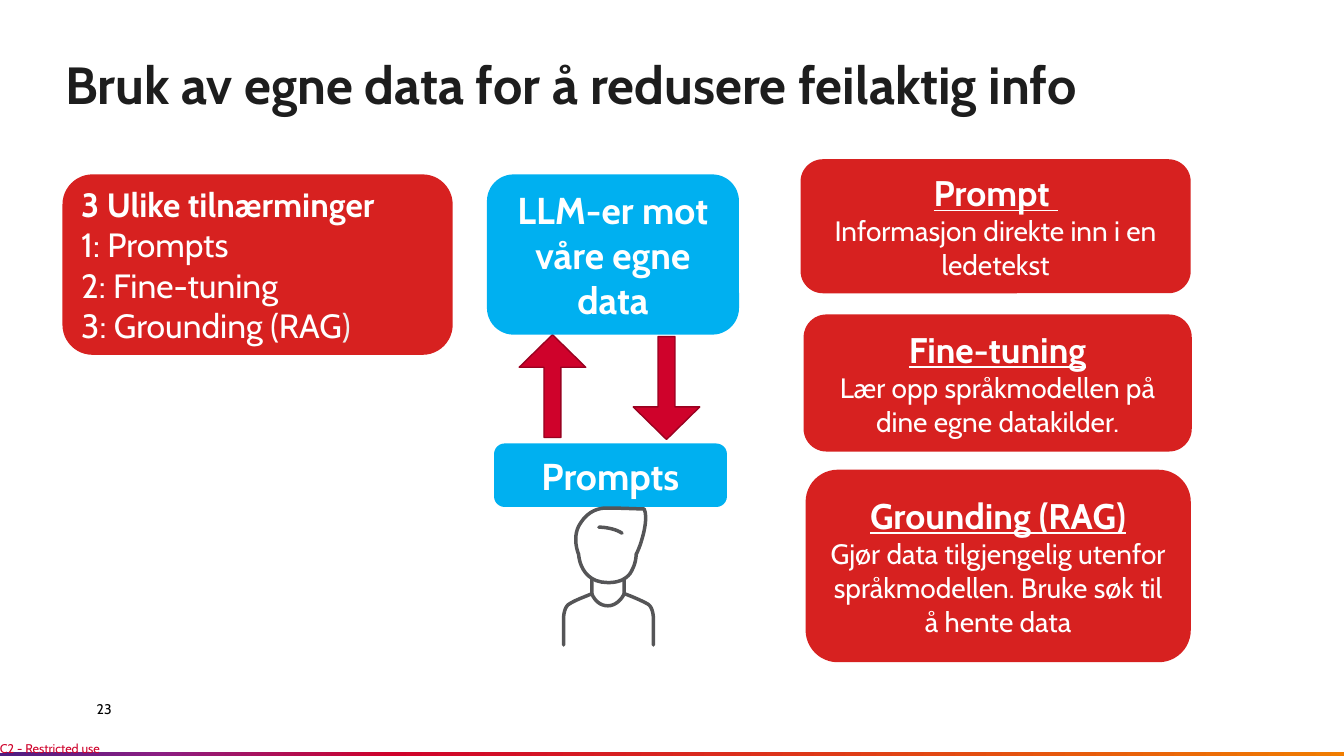
from dataclasses import dataclass
from typing import Optional

from lxml.etree import SubElement
from pptx import Presentation
from pptx.dml.color import RGBColor
from pptx.enum.shapes import MSO_SHAPE as Preset
from pptx.enum.text import MSO_ANCHOR as Anchor, PP_ALIGN as Align
from pptx.oxml.ns import qn
from pptx.util import Inches, Pt

RED = RGBColor(0xD7, 0x21, 0x20)
CRIMSON = RGBColor(0xCF, 0x02, 0x2B)
DARK_CRIMSON = RGBColor(0x99, 0x01, 0x20)
BLUE = RGBColor(0x00, 0xB0, 0xF0)
PURPLE = RGBColor(0x4D, 0x1D, 0x82)
MAGENTA = RGBColor(0x8B, 0x1D, 0x82)
ORANGE = RGBColor(0xF0, 0x7D, 0x00)
WHITE = RGBColor(0xFF, 0xFF, 0xFF)
PALE = RGBColor(0xEE, 0xEE, 0xED)
GREY = RGBColor(0x55, 0x55, 0x57)
INK = RGBColor(0x1D, 0x1D, 0x1D)
BLACK = RGBColor(0x00, 0x00, 0x00)
FONT = "Cabin"

# The page is a grid of quarter-inch cells, 30 rows high
CELL = Inches(0.25)
STROKE_UNIT = CELL / 25
CURVE_STEPS = 12


@dataclass(frozen=True)
class Area:
    column: float
    row: float
    columns: float
    rows: float

    def emu(self) -> tuple[int, ...]:
        return tuple(round(n * CELL) for n in
                     (self.column, self.row, self.columns, self.rows))


@dataclass(frozen=True)
class Line:
    text: str
    size: float
    bold: bool = False
    underline: bool = False
    color: RGBColor = WHITE
    pale_tail: str = ""


@dataclass(frozen=True)
class Card:
    area: Area
    fill: RGBColor
    lines: tuple[Line, ...]
    align: Align = Align.CENTER


@dataclass(frozen=True)
class Label:
    area: Area
    line: Line
    anchor: Anchor
    inset: bool = False
    spacing: float = 1.0


@dataclass(frozen=True)
class Arrow:
    area: Area
    rotation: int


@dataclass(frozen=True)
class Stroke:
    """Each segment holds one point (straight) or three (cubic curve)."""
    start: tuple[int, int]
    segments: tuple[tuple[tuple[int, int], ...], ...]


def topic(area: Area, heading: str, body: str) -> Card:
    return Card(area, RED, (Line(heading, 25.4, True, True), Line(body, 20)))


TITLE = Label(Area(2.2, 1.04, 48.92, 3.76),
              Line("Bruk av egne data for å redusere feilaktig info", 37.3, True, color=INK),
              Anchor.BOTTOM, inset=True, spacing=0.9)
FOOTERS = (
    Label(Area(3.84, 27.8, 6.12, 0.68), Line("23", 10, color=BLACK), Anchor.MIDDLE),
    Label(Area(0, 29.4, 4.52, 0.6), Line("C2 - Restricted use", 9, color=CRIMSON), Anchor.TOP),
)
BAR = Area(0, 29.88, 53.4, 0.2)
BAR_STOPS = ((0, PURPLE), (12, MAGENTA), (29, CRIMSON), (100, ORANGE))

CARDS = (
    Card(Area(19.6, 17.6, 9.24, 2.52), BLUE, (Line("Prompts", 26.7, True),)),
    Card(Area(19.32, 6.92, 10, 6.36), BLUE, (Line("LLM-er mot våre egne data", 26.7, True),)),
    Card(Area(2.48, 6.92, 15.48, 7.16), RED,
         (Line("3 Ulike tilnærminger", 24, True), Line("1: Prompts", 24),
          Line("2: Fine-tuning", 24), Line("3: Grounding (RAG", 24, pale_tail=")")),
         Align.LEFT),
    topic(Area(31.76, 6.32, 15.48, 5.32), "Prompt ", "Informasjon direkte inn i en ledetekst"),
    topic(Area(31.88, 12.48, 15.4, 5.44), "Fine-tuning",
          "Lær opp språkmodellen på dine egne datakilder."),
    topic(Area(31.96, 18.64, 15.28, 7.64), "Grounding (RAG)",
          "Gjør data tilgjengelig utenfor språkmodellen. Bruke søk til å hente data"),
)
ARROWS = (Arrow(Area(20.6, 13.28, 2.64, 4.08), 0),
          Arrow(Area(25.12, 13.36, 2.64, 4.08), 180))

# Person: strokes measured from the figure's own corner
PERSON_COLUMN, PERSON_ROW = 22.36, 20.16
HEAD = Stroke((44, 74), (
    ((17, 74), (15, 48), (15, 46)), ((14, 44), (9, 30), (15, 18)),
    ((21, 7), (30, 0), (43, 0)), ((54, 0), (77, 1), (80, 1)),
    ((85, 12), (76, 39), (72, 46)), ((72, 50), (71, 57), (66, 65)),
    ((62, 70), (56, 74), (44, 74))))
FRINGE = Stroke((35, 19), (((35, 19), (49, 19), (58, 25)),))
COLLAR = Stroke((28, 85), (((28, 85), (32, 97), (44, 97)),
                           ((54, 97), (60, 86), (60, 85)), ((60, 70),)))
LEFT_SIDE = Stroke((0, 136), (((0, 109),), ((0, 109), (0, 98), (6, 95)),
                              ((12, 91), (24, 87), (28, 85)), ((28, 70),)))
RIGHT_SIDE = Stroke((89, 136), (((89, 109),), ((89, 109), (89, 98), (83, 95)),
                                ((76, 91), (61, 85), (60, 85))))
PERSON = (HEAD, RIGHT_SIDE, COLLAR, FRINGE, LEFT_SIDE)


def style(span, line: Line, color: RGBColor) -> None:
    span.font.name, span.font.size = FONT, Pt(line.size)
    span.font.bold, span.font.underline = line.bold, line.underline
    span.font.color.rgb = color


def write(frame, lines: tuple[Line, ...], align: Align) -> None:
    frame.word_wrap = True
    frame.text = "\n".join(line.text for line in lines)
    for para, line in zip(frame.paragraphs, lines):
        para.alignment = align
        style(para.runs[0], line, line.color)
        if line.pale_tail:
            tail = para.add_run()
            tail.text = line.pale_tail
            style(tail, line, PALE)


def draw_shape(page, preset: Preset, area: Area, fill: Optional[RGBColor] = None):
    shape = page.shapes.add_shape(preset, *area.emu())
    shape.shadow.inherit = False
    shape.line.fill.background()
    if fill is not None:
        shape.fill.solid()
        shape.fill.fore_color.rgb = fill
    return shape


def draw_bar(page) -> None:
    bar = draw_shape(page, Preset.RECTANGLE, BAR)
    bar.fill.gradient()
    bar.fill.gradient_angle = 350
    stops = bar._element.spPr.find(qn("a:gradFill")).find(qn("a:gsLst"))
    stops.clear()
    for percent, color in BAR_STOPS:
        stop = SubElement(stops, qn("a:gs"), pos=str(percent * 1000))
        SubElement(stop, qn("a:srgbClr"), val=str(color))


def draw_label(page, label: Label) -> None:
    frame = page.shapes.add_textbox(*label.area.emu()).text_frame
    frame.vertical_anchor = label.anchor
    if not label.inset:
        frame.margin_left = frame.margin_right = frame.margin_top = frame.margin_bottom = 0
    write(frame, (label.line,), Align.LEFT)
    frame.paragraphs[0].line_spacing = label.spacing


def draw_card(page, card: Card) -> None:
    box = draw_shape(page, Preset.ROUNDED_RECTANGLE, card.area, card.fill)
    box.text_frame.vertical_anchor = Anchor.MIDDLE
    write(box.text_frame, card.lines, card.align)


def draw_arrow(page, arrow: Arrow) -> None:
    shape = draw_shape(page, Preset.UP_ARROW, arrow.area, CRIMSON)
    shape.adjustments[0], shape.adjustments[1] = 0.255, 0.49
    shape.rotation = arrow.rotation
    shape.line.color.rgb, shape.line.width = DARK_CRIMSON, Pt(1)


def trace(stroke: Stroke) -> list[tuple[float, float]]:
    points = [stroke.start]
    for segment in stroke.segments:
        if len(segment) == 1:
            points.append(segment[0])
            continue
        corners = (points[-1], *segment)
        for step in range(1, CURVE_STEPS + 1):
            t = step / CURVE_STEPS
            weights = ((1 - t) ** 3, 3 * t * (1 - t) ** 2, 3 * t * t * (1 - t), t ** 3)
            points.append(tuple(sum(w * corner[axis] for w, corner in zip(weights, corners))
                                for axis in (0, 1)))
    return points


def draw_stroke(page, stroke: Stroke) -> None:
    points = [(round(PERSON_COLUMN * CELL + x * STROKE_UNIT),
               round(PERSON_ROW * CELL + y * STROKE_UNIT)) for x, y in trace(stroke)]
    builder = page.shapes.build_freeform(*points[0])
    builder.add_line_segments(points[1:], close=stroke is HEAD)
    shape = builder.convert_to_shape()
    shape.shadow.inherit = False
    shape.fill.background()
    shape.line.color.rgb, shape.line.width = GREY, Pt(2.5)
    shape.line._ln.set("cap", "rnd")


def main() -> None:
    deck = Presentation()
    deck.slide_width, deck.slide_height = Inches(13.33), 30 * CELL
    page = deck.slides.add_slide(deck.slide_layouts[6])
    draw_bar(page)
    for label in (*FOOTERS, TITLE):
        draw_label(page, label)
    for arrow in ARROWS:
        draw_arrow(page, arrow)
    for card in CARDS:
        draw_card(page, card)
    for stroke in PERSON:
        draw_stroke(page, stroke)
    deck.save("out.pptx")


if __name__ == "__main__":
    main()
